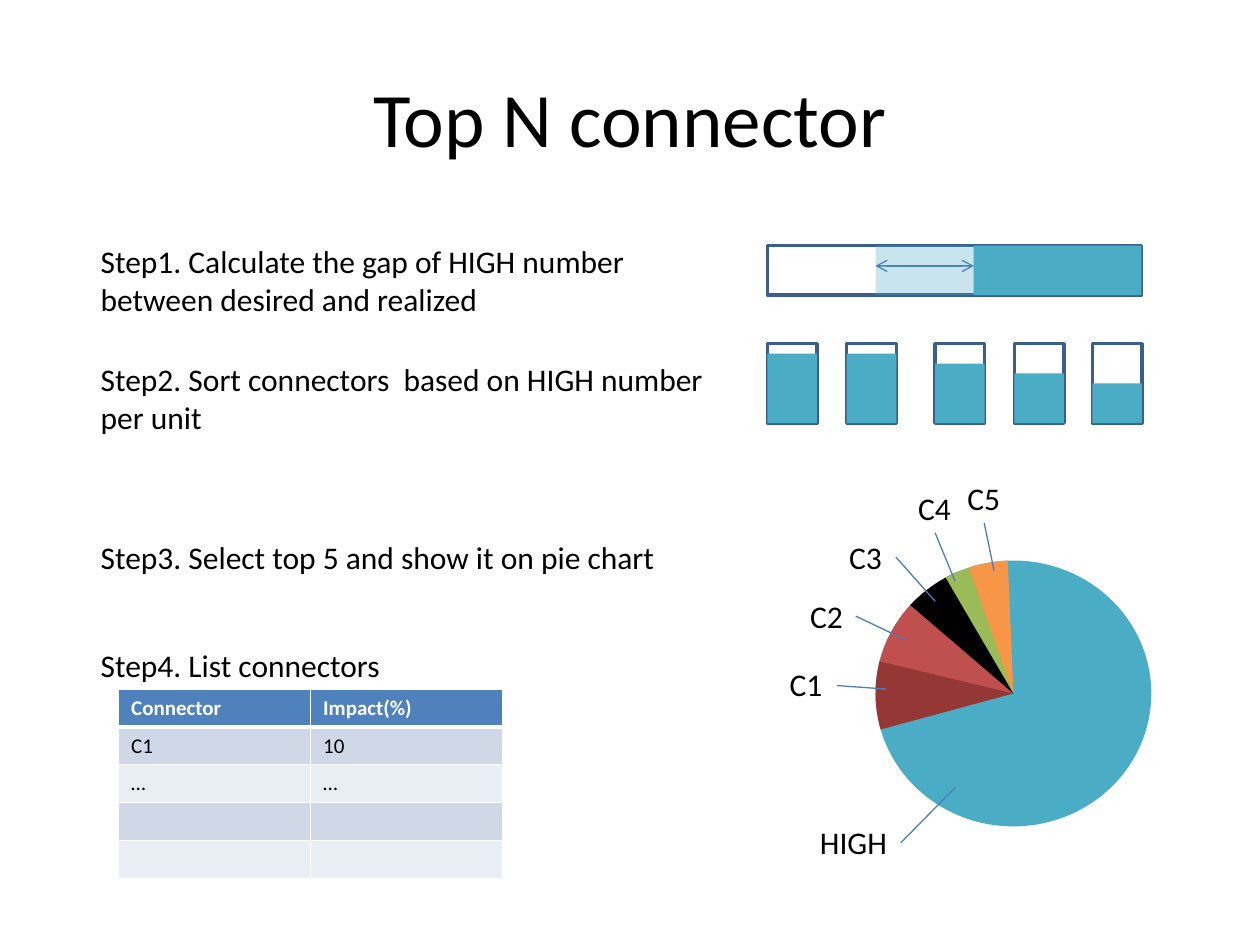
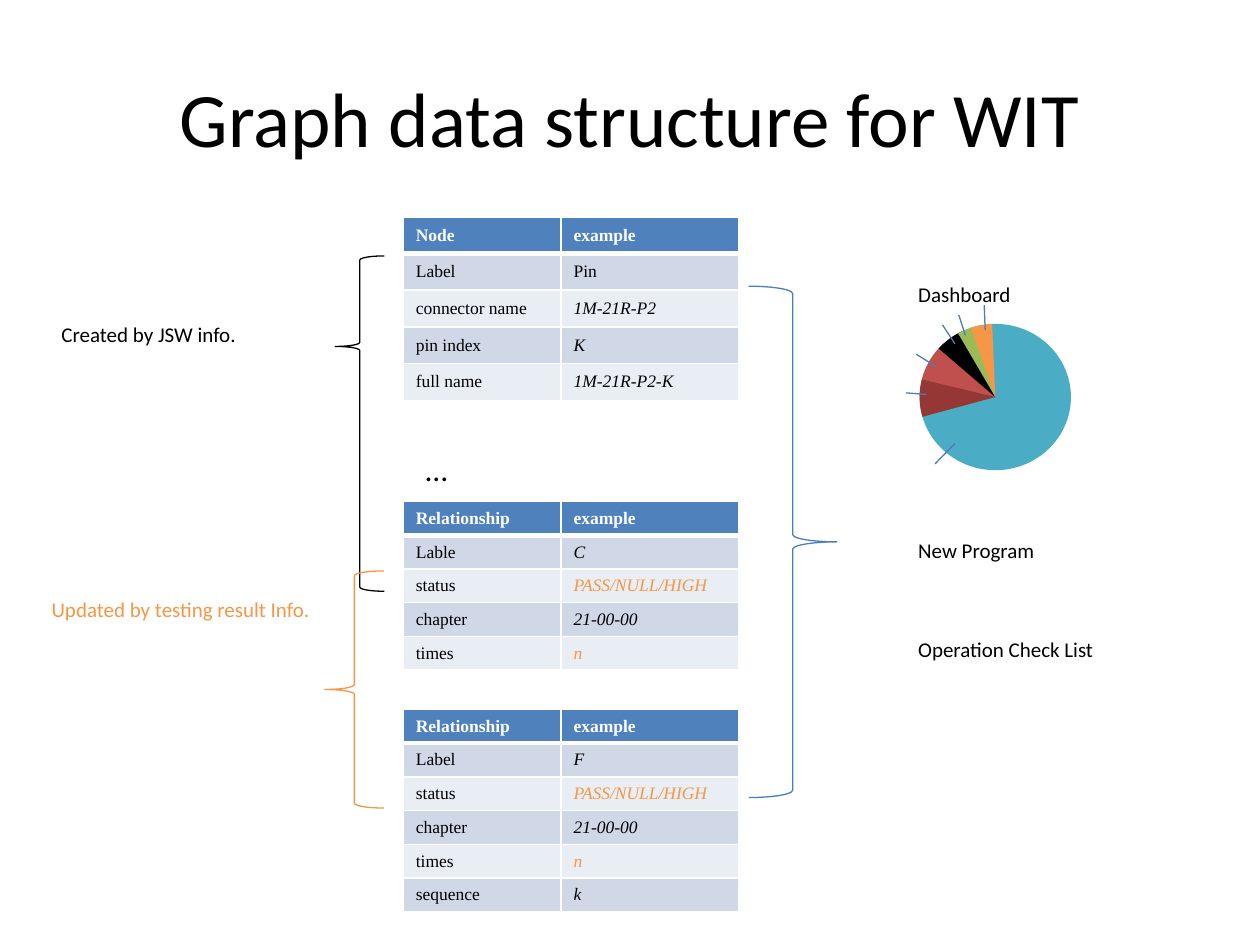
from dataclasses import dataclass
from typing import NamedTuple

from lxml import etree
from pptx import Presentation
from pptx.dml.color import RGBColor
from pptx.enum import shapes, text
from pptx.oxml import ns
from pptx.util import Cm, Pt

BLACK = RGBColor(0x00, 0x00, 0x00)
WHITE = RGBColor(0xFF, 0xFF, 0xFF)
TEAL = RGBColor(0x4B, 0xAC, 0xC6)
NAVY = RGBColor(0x3A, 0x5F, 0x8C)
LINE_BLUE = RGBColor(0x4B, 0x7E, 0xBC)
ORANGE = RGBColor(0xF7, 0x96, 0x46)
RED = RGBColor(0xC0, 0x50, 0x4D)
DARK_RED = RGBColor(0x95, 0x37, 0x35)
GREEN = RGBColor(0x9B, 0xBB, 0x59)
HEADER_BLUE = RGBColor(0x4F, 0x81, 0xBD)
BANDS = (RGBColor(0xE9, 0xED, 0xF4), RGBColor(0xD0, 0xD8, 0xE8))

BODY_FONT = "Calibri"
TABLE_FONT = "Times New Roman"
SHAPE = shapes.MSO_SHAPE


class Box(NamedTuple):
    """Left, top, width and height in centimetres."""
    left: float
    top: float
    width: float
    height: float


class Slice(NamedTuple):
    start: float
    end: float
    color: RGBColor


class Pointer(NamedTuple):
    """A line from (x1, y1) to (x2, y2) in centimetres."""
    x1: float
    y1: float
    x2: float
    y2: float


class Label(NamedTuple):
    content: str
    box: Box
    wrap: bool = False
    color: RGBColor = BLACK


class Brace(NamedTuple):
    kind: SHAPE
    box: Box
    middle: float
    color: RGBColor


@dataclass(frozen=True)
class TableDesign:
    left: float
    columns: tuple[float, ...]
    font: str
    size: int
    anchor: text.MSO_ANCHOR
    italic_column: int | None = None
    upright: tuple[str, ...] = ()
    highlighted: tuple[str, ...] = ()


@dataclass(frozen=True)
class TableData:
    top: float
    row_height: float
    rows: tuple[tuple[str, str], ...]


SLICES = (
    Slice(192.68, 225.19, RED),
    Slice(220.59, 244.67, BLACK),
    Slice(239.7, 256.37, GREEN),
    Slice(250.61, 267.59, ORANGE),
    Slice(164.8, 193.46, DARK_RED),
)

STEPS = (
    Label("Step1. Calculate the gap of HIGH number between desired and realized",
          Box(1.78, 4.75, 12.9, 1.8), wrap=True),
    Label("Step2. Sort connectors  based on HIGH number per unit",
          Box(1.78, 7.14, 12.9, 1.8), wrap=True),
    Label("Step3. Select top 5 and show it on pie chart", Box(1.78, 10.72, 11.81, 1.02)),
    Label("Step4. List connectors", Box(1.78, 12.9, 6.2, 1.02)),
)
GAP_BAR = Box(15.47, 4.95, 7.54, 1)
DESIRED_LEFT, REALIZED_LEFT = 17.65, 19.63
TANK_LEVELS = {15.47: 1.4, 17.07: 1.4, 18.85: 1.2, 20.45: 1, 22.02: 0.8}
TANK_TOP, TANK_WIDTH, TANK_HEIGHT = 6.93, 1, 1.6

CONNECTOR_PIE = Box(17.65, 11.3, 5.56, 5.36)
CONNECTOR_POINTERS = (
    Pointer(18.16, 16.99, 19.25, 15.88),
    Pointer(16.87, 13.82, 17.86, 13.89),
    Pointer(17.25, 12.42, 18.26, 12.9),
    Pointer(18.06, 11.23, 18.85, 12.12),
    Pointer(18.85, 10.74, 19.25, 11.71),
    Pointer(19.84, 10.54, 20.04, 11.51),
)
CONNECTOR_LABELS = (
    Label("HIGH", Box(16.28, 16.46, 1.88, 1.02)),
    Label("C1", Box(15.67, 13.28, 1.17, 1.02)),
    Label("C2", Box(16.08, 11.91, 1.17, 1.02)),
    Label("C3", Box(16.87, 10.72, 1.17, 1.02)),
    Label("C4", Box(18.26, 9.73, 1.17, 1.02)),
    Label("C5", Box(19.25, 9.53, 1.17, 1.02)),
)
IMPACT_DESIGN = TableDesign(2.39, (3.87, 3.87), BODY_FONT, 12, text.MSO_ANCHOR.TOP)
IMPACT_TABLE = TableData(13.89, 0.76, (
    ("Connector", "Impact(%)"), ("C1", "10"), ("…", "…"), ("", ""), ("", "")))

DASHBOARD_PIE = Box(18.54, 6.53, 3.05, 2.95)
DASHBOARD_POINTERS = (
    Pointer(18.47, 7.14, 18.87, 7.39),
    Pointer(18.26, 7.92, 18.67, 7.95),
    Pointer(19, 6.55, 19.25, 6.93),
    Pointer(19.33, 6.35, 19.46, 6.76),
    Pointer(19.84, 6.15, 19.86, 6.65),
    Pointer(18.85, 9.35, 19.25, 8.94),
)
GRAPH_LABELS = (
    Label("Created by JSW info.", Box(0.99, 6.35, 4.06, 0.76)),
    Label("Updated by testing result Info.", Box(0.79, 11.91, 5.77, 0.76), True, ORANGE),
    Label("Dashboard", Box(18.26, 5.56, 2.39, 0.76)),
    Label("New Program", Box(18.26, 10.72, 2.87, 0.76)),
    Label("Operation Check List", Box(18.26, 12.7, 4.09, 0.76)),
)
BRACES = (
    Brace(SHAPE.RIGHT_BRACE, Box(15.09, 5.77, 1.78, 10.31), 0.5, LINE_BLUE),
    Brace(SHAPE.LEFT_BRACE, Box(6.76, 5.16, 0.99, 6.76), 0.27, BLACK),
    Brace(SHAPE.LEFT_BRACE, Box(6.55, 11.51, 1.19, 4.78), 0.5, ORANGE),
)
GRAPH_DESIGN = TableDesign(8.13, (3.18, 3.58), TABLE_FONT, 10, text.MSO_ANCHOR.MIDDLE,
                           italic_column=1, upright=("Pin", "example"),
                           highlighted=("PASS/NULL/HIGH", "n"))
RESULT_ROWS = (("status", "PASS/NULL/HIGH"), ("chapter", "21-00-00"), ("times", "n"))
GRAPH_TABLES = (
    TableData(4.37, 0.74, (
        ("Node", "example"), ("Label", "Pin"), ("connector name", "1M-21R-P2"),
        ("pin index", "K"), ("full name", "1M-21R-P2-K"))),
    TableData(10.11, 0.68, (("Relationship", "example"), ("Lable", "C"), *RESULT_ROWS)),
    TableData(14.3, 0.68, (
        ("Relationship", "example"), ("Label", "F"), *RESULT_ROWS, ("sequence", "k"))),
)


def in_cm(box: Box) -> list[Cm]:
    return [Cm(value) for value in box]


def write(paragraph, content: str, *, size: int, font: str = BODY_FONT,
          color: RGBColor = BLACK, bold: bool = False, italic: bool = False,
          align=text.PP_ALIGN.LEFT) -> None:
    paragraph.alignment = align
    if not content:
        paragraph._p.get_or_add_endParaRPr().set("sz", str(size * 100))
        return
    run = paragraph.add_run()
    run.text = content
    run.font.name, run.font.size = font, Pt(size)
    run.font.bold, run.font.italic = bold, italic
    run.font.color.rgb = color


def add_label(container, label: Label, size: int) -> None:
    frame = container.add_textbox(*in_cm(label.box)).text_frame
    frame.word_wrap = label.wrap
    frame.auto_size = text.MSO_AUTO_SIZE.SHAPE_TO_FIT_TEXT
    write(frame.paragraphs[0], label.content, size=size, color=label.color)


def add_title(slide, content: str) -> None:
    frame = slide.shapes.add_textbox(*in_cm(Box(1.27, 0.76, 22.86, 3.18))).text_frame
    frame.word_wrap = True
    frame.vertical_anchor = text.MSO_ANCHOR.MIDDLE
    write(frame.paragraphs[0], content, size=44, align=text.PP_ALIGN.CENTER)


def add_figure(container, kind: SHAPE, box: Box, *, fill: RGBColor | None = None,
               opacity: int = 100, line: RGBColor | None = None, width: float = 2):
    shape = container.add_shape(kind, *in_cm(box))
    shape.shadow.inherit = False
    if fill is None:
        shape.fill.background()
    else:
        shape.fill.solid()
        shape.fill.fore_color.rgb = fill
    if opacity < 100:
        color = shape._element.spPr.find(".//" + ns.qn("a:srgbClr"))
        etree.SubElement(color, ns.qn("a:alpha"), val=str(opacity * 1000))
    if line is None:
        shape.line.fill.background()
    else:
        shape.line.color.rgb = line
        shape.line.width = Pt(width)
    return shape


def add_pointer(container, pointer: Pointer, arrows: bool = False) -> None:
    connector = container.add_connector(shapes.MSO_CONNECTOR.STRAIGHT, *map(Cm, pointer))
    connector.line.color.rgb = LINE_BLUE
    connector.line.width = Pt(0.75)
    properties = connector._element.spPr
    if arrows:
        for end in ("a:headEnd", "a:tailEnd"):
            etree.SubElement(properties.find(ns.qn("a:ln")), ns.qn(end), type="arrow")
    etree.SubElement(properties, ns.qn("a:effectLst"))


def add_pie(container, box: Box, pointers: tuple[Pointer, ...]) -> None:
    add_figure(container, SHAPE.OVAL, box, fill=TEAL)
    for part in SLICES:
        wedge = add_figure(container, SHAPE.PIE, box, fill=part.color)
        # Angles are stored in 1/60000 degree, adjustments in 1/100000.
        wedge.adjustments[0] = part.start * 0.6
        wedge.adjustments[1] = part.end * 0.6
    for pointer in pointers:
        add_pointer(container, pointer)


def set_borders(cell, top: int, bottom: int) -> None:
    """Draw white borders, 1 pt at the sides."""
    properties = cell._tc.get_or_add_tcPr()
    widths = {"a:lnL": 1, "a:lnR": 1, "a:lnT": top, "a:lnB": bottom}
    for index, (side, width) in enumerate(widths.items()):
        border = etree.Element(ns.qn(side), w=str(Pt(width)))
        fill = etree.SubElement(border, ns.qn("a:solidFill"))
        etree.SubElement(fill, ns.qn("a:srgbClr"), val=str(WHITE))
        properties.insert(index, border)


def add_data_table(slide, data: TableData, design: TableDesign) -> None:
    box = Box(design.left, data.top, sum(design.columns), data.row_height * len(data.rows))
    table = slide.shapes.add_table(len(data.rows), len(design.columns), *in_cm(box)).table
    for column, width in zip(table.columns, design.columns):
        column.width = Cm(width)
    for row_index, values in enumerate(data.rows):
        header = row_index == 0
        for column_index, value in enumerate(values):
            cell = table.cell(row_index, column_index)
            cell.vertical_anchor = design.anchor
            cell.fill.solid()
            cell.fill.fore_color.rgb = HEADER_BLUE if header else BANDS[row_index % 2]
            set_borders(cell, top=3 if row_index == 1 else 1, bottom=3 if header else 1)
            color = ORANGE if value in design.highlighted else BLACK
            write(cell.text_frame.paragraphs[0], value, size=design.size, font=design.font,
                  color=WHITE if header else color, bold=header,
                  italic=column_index == design.italic_column and value not in design.upright)


def add_tanks(container) -> None:
    for left, level in TANK_LEVELS.items():
        add_figure(container, SHAPE.RECTANGLE, Box(left, TANK_TOP, TANK_WIDTH, TANK_HEIGHT),
                   line=NAVY)
        add_figure(container, SHAPE.RECTANGLE,
                   Box(left, TANK_TOP + TANK_HEIGHT - level, TANK_WIDTH, level), fill=TEAL)


def add_gap_bar(container) -> None:
    right = GAP_BAR.left + GAP_BAR.width
    add_figure(container, SHAPE.RECTANGLE, GAP_BAR, line=NAVY)
    for left, opacity in ((DESIRED_LEFT, 30), (REALIZED_LEFT, 100)):
        add_figure(container, SHAPE.RECTANGLE,
                   GAP_BAR._replace(left=left, width=right - left), fill=TEAL, opacity=opacity)
    add_pointer(container, Pointer(DESIRED_LEFT, 5.36, REALIZED_LEFT, 5.36), arrows=True)


def build_connector_slide(slide) -> None:
    add_title(slide, "Top N connector")
    add_tanks(slide.shapes.add_group_shape().shapes)
    for step in STEPS:
        add_label(slide.shapes, step, 18)
    add_gap_bar(slide.shapes.add_group_shape().shapes)
    pie_group = slide.shapes.add_group_shape().shapes
    add_pie(pie_group, CONNECTOR_PIE, CONNECTOR_POINTERS)
    for label in CONNECTOR_LABELS:
        add_label(pie_group, label, 18)
    add_data_table(slide, IMPACT_TABLE, IMPACT_DESIGN)


def build_graph_slide(slide) -> None:
    add_title(slide, "Graph data structure for WIT")
    for data in GRAPH_TABLES:
        add_data_table(slide, data, GRAPH_DESIGN)
    for label in GRAPH_LABELS:
        add_label(slide.shapes, label, 12)
    add_label(slide.shapes, Label("…", Box(8.33, 8.94, 0.97, 1.02), wrap=True), 18)
    add_pie(slide.shapes.add_group_shape().shapes, DASHBOARD_PIE, DASHBOARD_POINTERS)
    for brace in BRACES:
        shape = add_figure(slide.shapes, brace.kind, brace.box, line=brace.color, width=0.75)
        shape.adjustments[1] = brace.middle


def main() -> None:
    presentation = Presentation()
    presentation.slide_width, presentation.slide_height = Cm(25.4), Cm(19.05)
    for build in (build_connector_slide, build_graph_slide):
        build(presentation.slides.add_slide(presentation.slide_layouts[6]))
    presentation.save("out.pptx")


if __name__ == "__main__":
    main()
